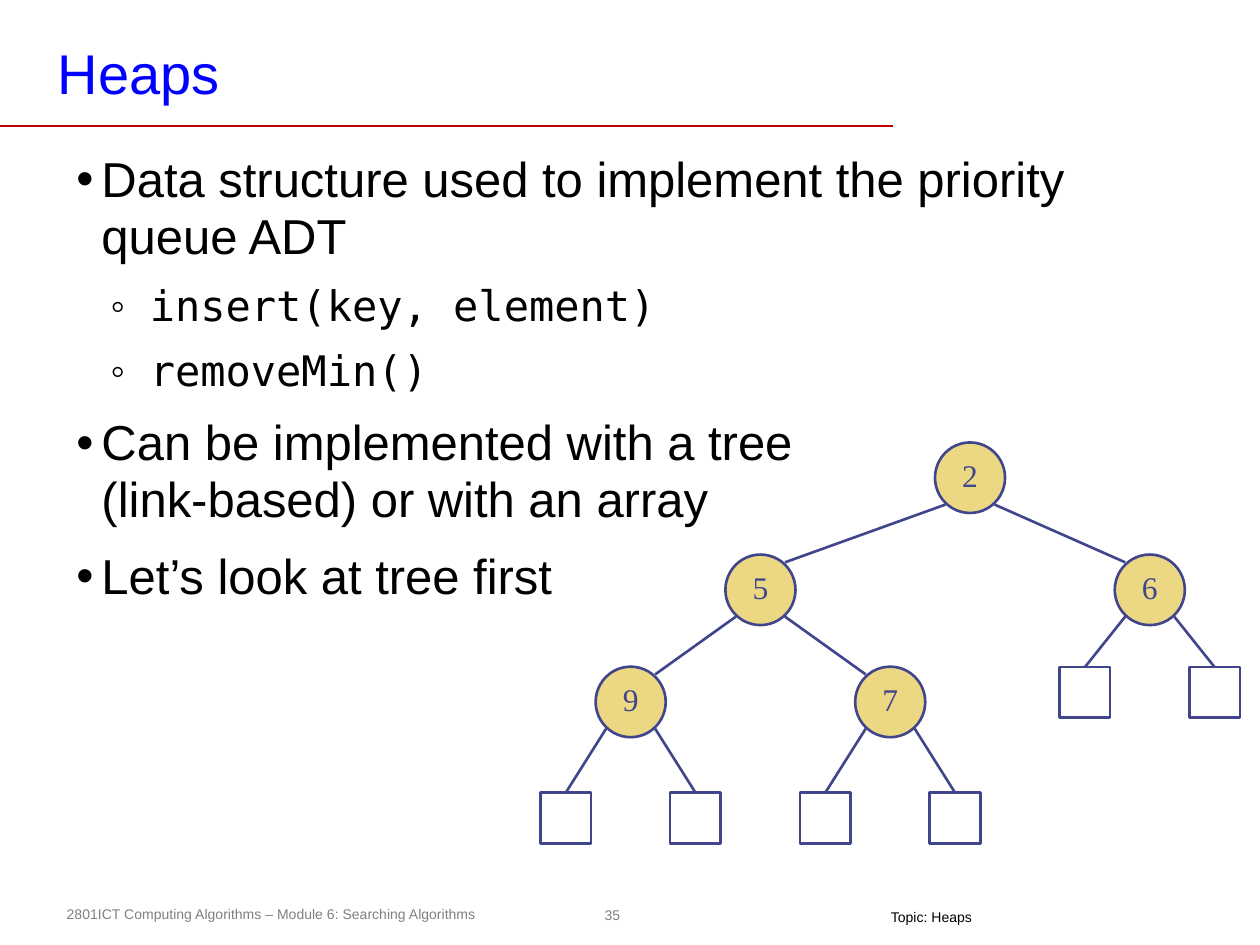
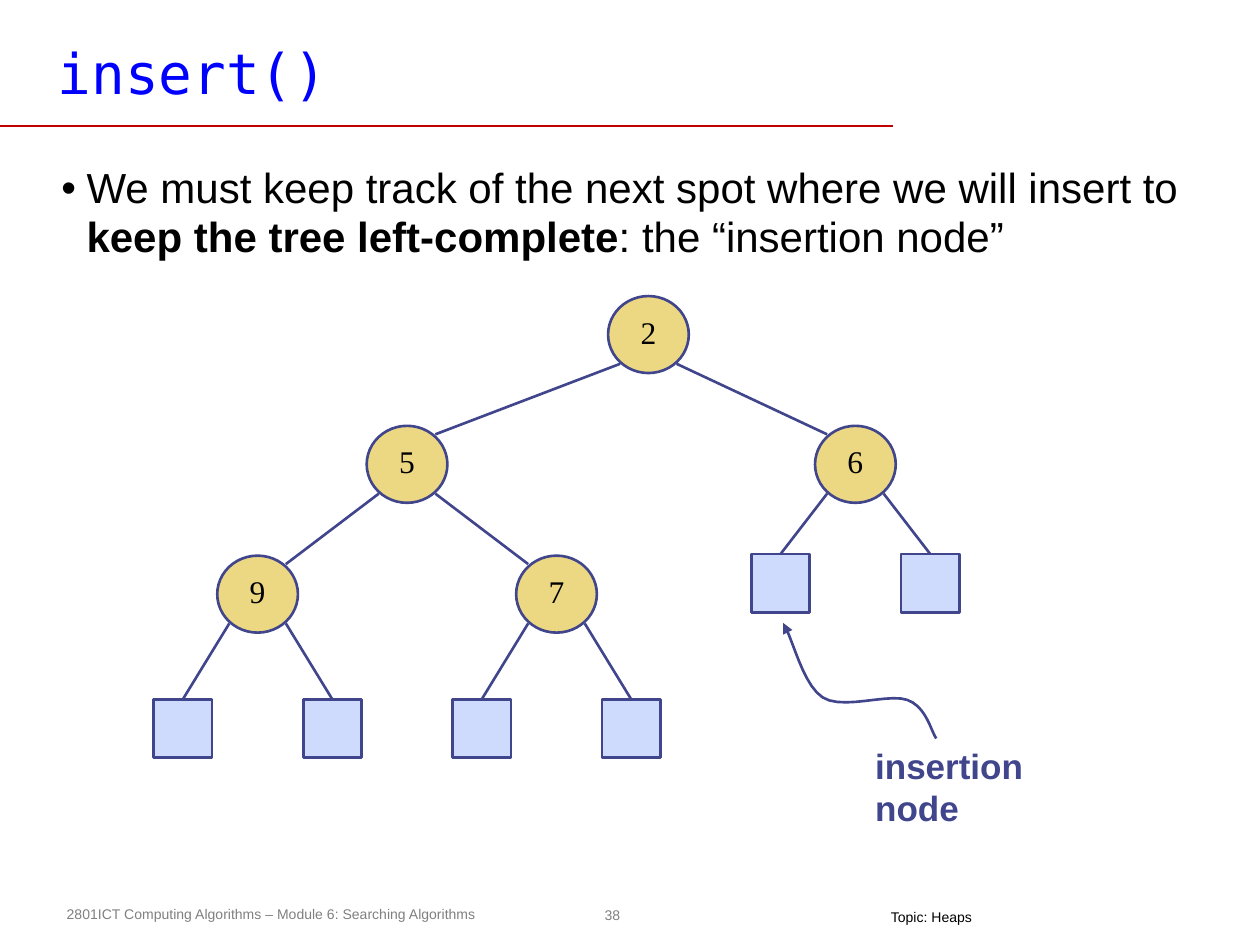
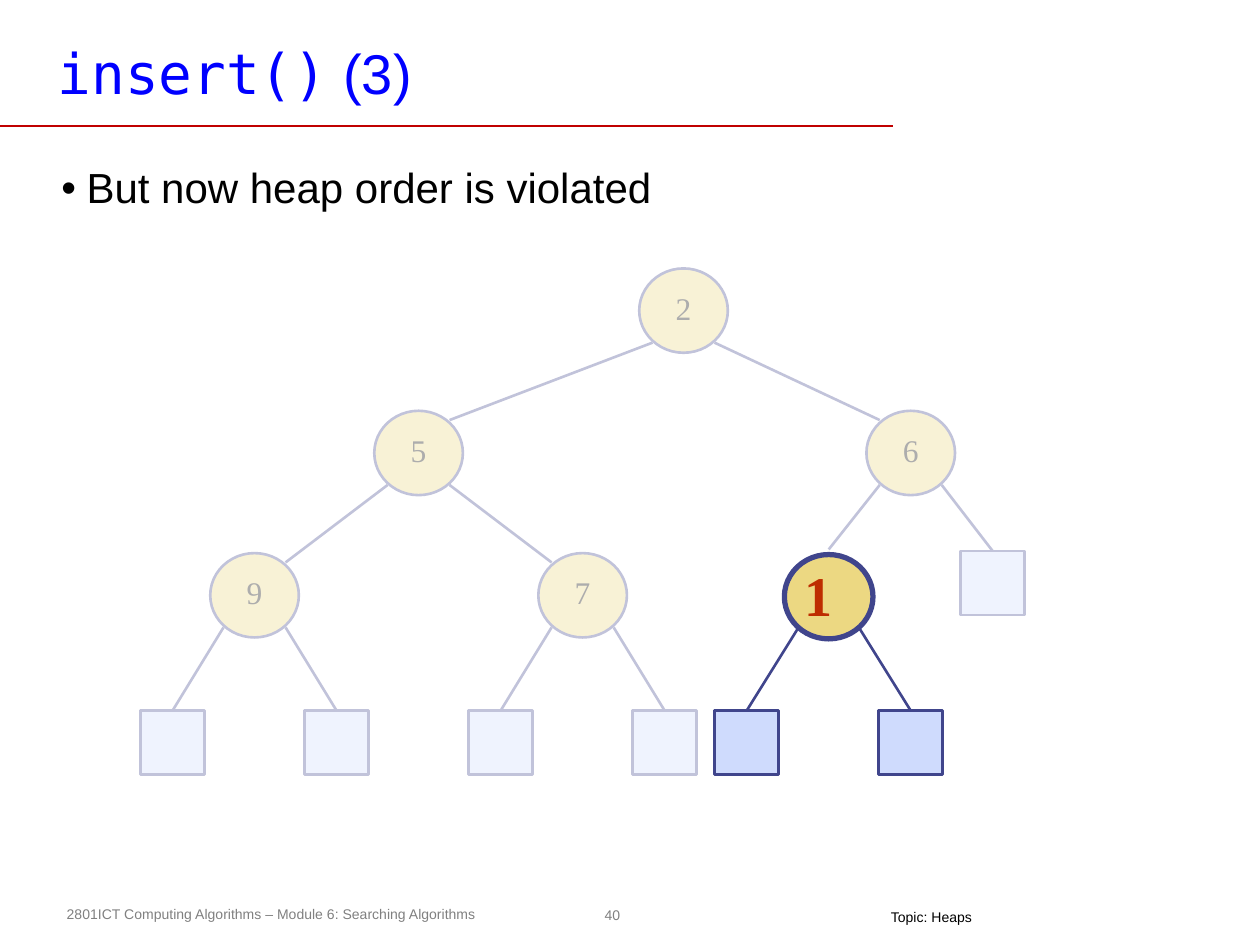
import dataclasses

import lxml.etree
import pptx
import pptx.dml.color
import pptx.enum.shapes
import pptx.enum.text
import pptx.oxml.ns
import pptx.util

Pt = pptx.util.Pt
RGB = pptx.dml.color.RGBColor
SHAPE = pptx.enum.shapes.MSO_SHAPE
ANCHOR = pptx.enum.text.MSO_ANCHOR
ALIGN = pptx.enum.text.PP_ALIGN
qn = pptx.oxml.ns.qn

# Colours and fonts
BLACK = RGB(0x00, 0x00, 0x00)
WHITE = RGB(0xFF, 0xFF, 0xFF)
GREY = RGB(0x80, 0x80, 0x80)
TITLE_BLUE = RGB(0x00, 0x00, 0xFF)
RULE_RED = RGB(0xC0, 0x00, 0x00)
INK = RGB(0x40, 0x45, 0x8C)
NODE_GOLD = RGB(0xEC, 0xD8, 0x82)
LEAF_BLUE = RGB(0xCF, 0xDB, 0xFD)
KEY_RED = RGB(0xBE, 0x2D, 0x00)
SANS, MONO, SERIF = "Arial", "DejaVu Sans Mono", "Times New Roman"

# Slide furniture: left, top, width, height
TITLE_BOX = (28, 20, 534, 43)
FOOTER_BOX = (31, 514, 262, 17)
PAGE_BOX = (341.5, 513.5, 17, 18.5)
TOPIC_BOX = (502, 519, 61, 12.5)
BODY_BOX = (28, 90.5, 670, 395)

# Heap: (key, column, depth, children); a key of None is an empty leaf,
# and GAP keeps the edge but leaves its end free
GAP = "gap"


def leaf(column, depth):
    return (None, column, depth, ())


def heap(left_of_six):
    nine = ("9", 1, 2, (leaf(0, 3), leaf(2, 3)))
    seven = ("7", 5, 2, (leaf(4, 3), leaf(6, 3)))
    six = ("6", 9, 1, (left_of_six, leaf(10, 2)))
    return ("2", 6.23, 0, (("5", 3, 1, (nine, seven)), six))


@dataclasses.dataclass
class TreeStyle:
    """box runs from first to last leaf centre, and from root centre to lowest leaf top."""
    box: tuple
    node_h: float
    leaf_fill: RGB = None
    key_color: RGB = BLACK
    key_size: float = 18
    key_bold: bool = False
    key_shift: float = 0
    node_line: float = 1.5

    def x(self, column):
        return self.box[0] + column * self.box[2] / 10

    def y(self, depth):
        return self.box[1] + depth * self.box[3] / 2.81

    def leaf_top(self, depth):
        return self.y({2: 1.69, 3: 2.81}[depth])

    @property
    def node_w(self):
        return 0.108 * self.box[2]


def format_runs(p, size, color, font, bold=False):
    for r in p.runs:
        r.font.size, r.font.name, r.font.bold = Pt(size), font, bold
        r.font.color.rgb = color


def set_frame(tf, insets, anchor=ANCHOR.TOP, wrap=True):
    tf.margin_left, tf.margin_top, tf.margin_right, tf.margin_bottom = map(Pt, insets)
    tf.vertical_anchor, tf.word_wrap = anchor, wrap


def add_text(slide, box, text, size, color, font=SANS, bold=False,
             insets=(7.2, 3.6, 7.2, 3.6), anchor=ANCHOR.TOP, wrap=True, align=None):
    sp = slide.shapes.add_textbox(*map(Pt, box))
    tf = sp.text_frame
    set_frame(tf, insets, anchor, wrap)
    tf.text = text
    p = tf.paragraphs[0]
    p.alignment = align
    format_runs(p, size, color, font, bold)
    return sp


def add_line(slide, start, end, color, width):
    line = slide.shapes.add_connector(
        pptx.enum.shapes.MSO_CONNECTOR.STRAIGHT, *map(Pt, start + end))
    line.line.color.rgb, line.line.width = color, Pt(width)
    lxml.etree.SubElement(line._element.spPr, qn("a:effectLst"))
    return line


def add_shape(slide, kind, box, fill=None, line=None, width=1.5):
    sp = slide.shapes.add_shape(kind, *map(Pt, box))
    sp.shadow.inherit = False
    if fill is None:
        sp.fill.background()
    else:
        sp.fill.solid()
        sp.fill.fore_color.rgb = fill
    if line is None:
        sp.line.fill.background()
    else:
        sp.line.color.rgb, sp.line.width = line, Pt(width)
    return sp


def add_slide(prs, page, title):
    """Blank slide with title, rule and footer; title is a list of (text, font)."""
    slide = prs.slides.add_slide(prs.slide_layouts[6])
    add_text(slide, PAGE_BOX, page, 8, GREY, insets=(3, 3, 3, 3),
             anchor=ANCHOR.MIDDLE, wrap=False, align=ALIGN.CENTER)
    add_text(slide, FOOTER_BOX,
             "2801ICT Computing Algorithms – Module 6: Searching Algorithms", 8, GREY)
    add_line(slide, (0, 72), (510.5, 72), RULE_RED, 1)
    sp = add_text(slide, TITLE_BOX, "", 32, TITLE_BLUE, insets=(5, 2, 5, 2))
    p = sp.text_frame.paragraphs[0]
    for text, font in title:
        r = p.add_run()
        r.text = text
        r.font.name, r.font.size = font, Pt(32)
        r.font.color.rgb = TITLE_BLUE
    add_text(slide, TOPIC_BOX, "Topic: Heaps", 8, BLACK,
             insets=(7.2, 0, 7.2, 3), wrap=False)
    return slide


def add_body(slide, box, items):
    """Bulleted text; items are (level, size, font, [(text, bold), ...])."""
    tf = slide.shapes.add_textbox(*map(Pt, box)).text_frame
    set_frame(tf, (7.2, 3.6, 7.2, 3.6))
    for i, (level, size, font, parts) in enumerate(items):
        p = tf.add_paragraph() if i else tf.paragraphs[0]
        p.text = parts[0][0]
        for text, bold in parts[1:]:
            r = p.add_run()
            r.text = text
            r.font.bold = bold
        bolds = [r.font.bold for r in p.runs]
        format_runs(p, size, BLACK, font)
        for r, bold in zip(p.runs, bolds):
            r.font.bold = bold
        p.level, p.line_spacing = level, 0.97
        # Indent, spacing and bullet
        margin, hang, bullet = ((14.4, 14.4, "•"), (42, 22.5, "◦"))[level]
        pPr = p._p.get_or_add_pPr()
        pPr.set("marL", str(Pt(margin)))
        pPr.set("indent", str(-Pt(hang)))
        before = lxml.etree.SubElement(pPr, qn("a:spcBef"))
        lxml.etree.SubElement(before, qn("a:spcPct")).set("val", "39000")
        lxml.etree.SubElement(pPr, qn("a:buFont")).set("typeface", SANS)
        lxml.etree.SubElement(pPr, qn("a:buChar")).set("char", bullet)


def add_tree(slide, style, node):
    """Draw a node with everything below it and return its shape."""
    key, column, depth, children = node
    x, y, w, h = style.x(column), style.y(depth), style.node_w, style.node_h
    if key == GAP:
        return None
    if key is None:
        side = 0.078 * style.box[2]
        return add_shape(slide, SHAPE.RECTANGLE,
                         (x - side / 2, style.leaf_top(depth), side, side),
                         style.leaf_fill, INK)
    sp = add_shape(slide, SHAPE.OVAL, (x - w / 2, y - h / 2, w, h),
                   NODE_GOLD, INK, style.node_line)
    tf = sp.text_frame
    set_frame(tf, (0, 0, style.key_shift, 3.6), ANCHOR.MIDDLE, wrap=False)
    tf.text = key
    p = tf.paragraphs[0]
    p.alignment = ALIGN.CENTER
    format_runs(p, style.key_size, style.key_color, SERIF, style.key_bold)
    # Edges leave at the lower corners
    for side, child in zip((-1, 1), children):
        child_sp = add_tree(slide, style, child)
        child_key, child_column, child_depth, _ = child
        start = (x + side * 0.35 * w, y + 0.38 * h)
        if child_key in (None, GAP):
            end = (style.x(child_column), style.leaf_top(child_depth) - 1)
        else:
            end = (style.x(child_column) - side * 0.35 * w,
                   style.y(child_depth) - 0.39 * h)
        edge = add_line(slide, start, end, INK, 1.5)
        if child_key is None:
            edge.end_connect(child_sp, 0)
    return sp


def add_callout(slide, box):
    """Label with a curved arrow that rises from it to the insertion node."""
    left, top, width, height = box
    start = (42, 0)
    curves = [((39, -4), (36.5, -18), (25.5, -22)),
              ((14.5, -26), (-11.5, -16), (-23, -23.5)),
              ((-34.5, -31), (-40, -57.5), (-45.5, -66))]
    points, steps = [start], 10
    for c1, c2, end in curves:
        begin = points[-1]
        for t in (i / steps for i in range(1, steps + 1)):
            points.append(tuple(
                (1 - t) ** 3 * a + 3 * (1 - t) ** 2 * t * b + 3 * (1 - t) * t * t * c + t ** 3 * d
                for a, b, c, d in zip(begin, c1, c2, end)))
    spots = [(Pt(left + x), Pt(top + y)) for x, y in points]
    builder = slide.shapes.build_freeform(*spots[0])
    builder.add_line_segments(spots[1:], close=False)
    sp = builder.convert_to_shape()
    sp.shadow.inherit = False
    sp.fill.background()
    sp.line.color.rgb, sp.line.width = INK, Pt(1.5)
    lxml.etree.SubElement(sp.line._get_or_add_ln(), qn("a:tailEnd")).set("type", "triangle")
    add_text(slide, box, "insertion node", 20, INK, bold=True)


def add_veil(slide, box):
    sp = add_shape(slide, SHAPE.RECTANGLE, box, WHITE)
    color = sp._element.spPr.find(qn("a:solidFill"))[0]
    lxml.etree.SubElement(color, qn("a:alpha")).set("val", "68000")


def heaps_slide(prs):
    slide = add_slide(prs, "35", [("Heaps", SANS)])
    add_body(slide, (36.5, 83, 630, 306), [
        (0, 28, SANS, [("Data structure used to implement the priority queue ADT", False)]),
        (1, 24, MONO, [("insert(key, element)", False)]),
        (1, 24, MONO, [("removeMin()", False)]),
        (0, 28, SANS, [("Can be implemented with a tree\v(link-based) or with an array", False)]),
        (0, 28, SANS, [("Let’s look at tree first", False)]),
    ])
    style = TreeStyle((323.3, 273, 370.8, 180), 40.3, key_color=INK)
    add_tree(slide, style, heap(leaf(8, 2)))


def insertion_slide(prs):
    slide = add_slide(prs, "38", [("insert()", MONO)])
    add_body(slide, BODY_BOX, [(0, 24, SANS, [
        ("We must keep track of the next spot where we will insert to ", False),
        ("keep the tree left-complete", True),
        (": the “insertion node”", False)])])
    style = TreeStyle((104.5, 191.2, 427, 208.4), 44, LEAF_BLUE)
    add_tree(slide, style, heap(leaf(8, 2)))
    add_callout(slide, (493, 422, 139.5, 29))


def violation_slide(prs):
    slide = add_slide(prs, "40", [("insert()", MONO), (" (3)", SANS)])
    add_body(slide, BODY_BOX, [(0, 24, SANS, [("But now heap order is violated", False)])])
    style = TreeStyle((98.6, 177.5, 468.7, 228.6), 48.2, LEAF_BLUE)
    add_tree(slide, style, heap((GAP, 8, 2, ())))
    # Fade the old tree, then add the new node on top
    add_veil(slide, (52.5, 145.5, 666, 366))
    new_style = dataclasses.replace(style, key_color=KEY_RED, key_size=32, key_bold=True,
                                    key_shift=12, node_line=3)
    add_tree(slide, new_style, ("1", 8, 2.01, (leaf(7, 3), leaf(9, 3))))


def main():
    prs = pptx.Presentation()
    prs.slide_width, prs.slide_height = Pt(720), Pt(540)
    heaps_slide(prs)
    insertion_slide(prs)
    violation_slide(prs)
    prs.save("out.pptx")


if __name__ == "__main__":
    main()
